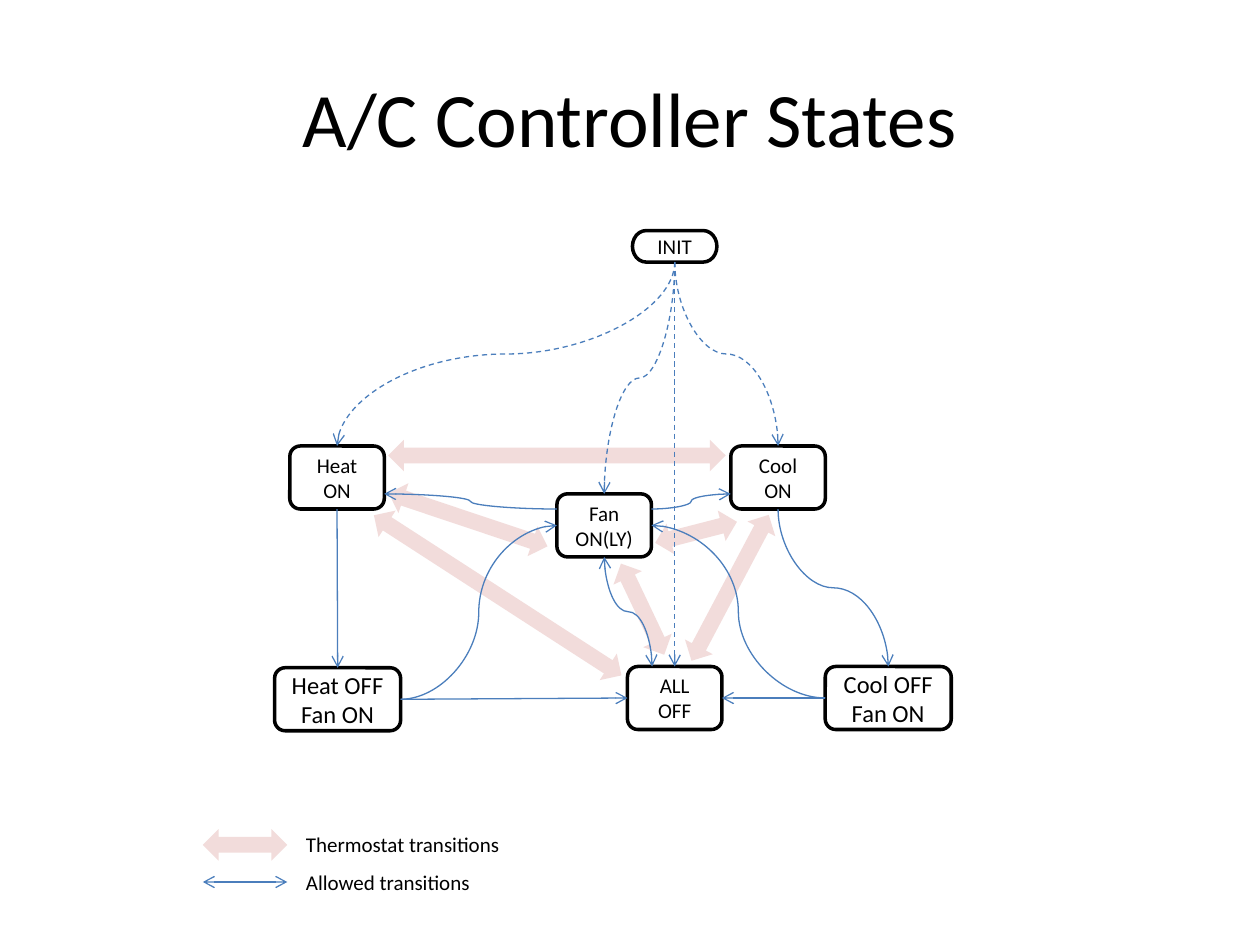
"""Build the A/C controller state diagram slide."""
import dataclasses

import pptx
import pptx.dml.color
import pptx.enum.dml
import pptx.enum.shapes
import pptx.enum.text
import pptx.oxml
import pptx.oxml.ns
import pptx.util

Inches = pptx.util.Inches
KIND = pptx.enum.shapes.MSO_SHAPE
LINK = pptx.enum.shapes.MSO_CONNECTOR
ALIGN = pptx.enum.text.PP_ALIGN
ANCHOR = pptx.enum.text.MSO_ANCHOR
TOP, LEFT, BOTTOM, RIGHT = range(4)


@dataclasses.dataclass(frozen=True)
class Theme:
    font: str = "Calibri"
    ink: str = "000000"
    paper: str = "FFFFFF"
    band: str = "F2DCDB"
    link: str = "4B7EBC"
    title: int = 44
    large: int = 14
    small: int = 12
    edge: float = 2
    thin: float = 0.75


def color(code):
    return pptx.dml.color.RGBColor.from_string(code)


def write(frame, text, size, font, ink, align=ALIGN.LEFT, anchor=ANCHOR.TOP, wrap=True):
    frame.word_wrap = wrap
    frame.vertical_anchor = anchor
    frame.text = text
    for para in frame.paragraphs:
        para.alignment = align
        para.font.size = pptx.util.Pt(size)
        para.font.name = font
        para.font.color.rgb = color(ink)


def port(box, side, dx=0, dy=0):
    x = {LEFT: 0, RIGHT: box.width}.get(side, box.width // 2)
    y = {TOP: 0, BOTTOM: box.height}.get(side, box.height // 2)
    return box.left + x + Inches(dx), box.top + y + Inches(dy)


class Painter:
    def __init__(self, slide, theme):
        self.slide = slide
        self.theme = theme

    def shape(self, kind, place, fill):
        item = self.slide.shapes.add_shape(kind, *map(Inches, place))
        item.shadow.inherit = False
        item.fill.solid()
        item.fill.fore_color.rgb = color(fill)
        return item

    def band(self, x, y, width, turn=0):
        item = self.shape(KIND.LEFT_RIGHT_ARROW, (x, y, width, 0.25), self.theme.band)
        item.line.fill.background()
        item.rotation = turn

    def state(self, text, x, y, width=0.75, height=0.5, size=None,
              kind=KIND.FLOWCHART_ALTERNATE_PROCESS):
        item = self.shape(kind, (x, y, width, height), self.theme.paper)
        item.line.color.rgb = color(self.theme.ink)
        item.line.width = pptx.util.Pt(self.theme.edge)
        write(item.text_frame, text, size or self.theme.small, self.theme.font,
              self.theme.ink, align=ALIGN.CENTER, anchor=ANCHOR.MIDDLE)
        return item

    def label(self, text, place, size, **look):
        item = self.slide.shapes.add_textbox(*map(Inches, place))
        write(item.text_frame, text, size, self.theme.font, self.theme.ink, **look)

    def link(self, kind, start, end, dash=False, both=False):
        item = self.slide.shapes.add_connector(kind, *start, *end)
        item.line.color.rgb = color(self.theme.link)
        item.line.width = pptx.util.Pt(self.theme.thin)
        if dash:
            item.line.dash_style = pptx.enum.dml.MSO_LINE.DASH
        props = item.element.spPr
        line = props.find(pptx.oxml.ns.qn("a:ln"))
        for tag in ("headEnd", "tailEnd") if both else ("tailEnd",):
            tip = pptx.oxml.parse_xml(f'<a:{tag} {pptx.oxml.ns.nsdecls("a")} type="arrow"/>')
            line.append(tip)
        props.append(pptx.oxml.parse_xml(f'<a:effectLst {pptx.oxml.ns.nsdecls("a")}/>'))
        return item

    def join(self, first, side, last, goal, **look):
        item = self.link(LINK.STRAIGHT, port(first, side), port(last, goal), **look)
        item.begin_connect(first, side)
        item.end_connect(last, goal)

    def curve(self, start, end, **look):
        self.link(LINK.CURVE, start, end, **look)

    def drop(self, start, end, **look):
        (x, y), (u, v) = start, end
        mid, row = (x + u) // 2, (y + v) // 2
        half, rise = (v - y) // 2, abs(u - x) // 2
        if u > x:
            half = -half
        item = self.link(LINK.CURVE, (mid - half, row - rise), (mid + half, row + rise), **look)
        turn = 270 if u > x else 90
        item.element.spPr.xfrm.set("rot", str(turn * 60000))


def main():
    deck = pptx.Presentation()
    deck.slide_width, deck.slide_height = Inches(10), Inches(7.5)
    theme = Theme()
    pen = Painter(deck.slides.add_slide(deck.slide_layouts[6]), theme)

    for band in ((3.08, 3.49, 2.68), (2.78, 4.6, 2.34, 32.9), (5.14, 4.54, 1.31, 297.9),
                 (4.7, 4.71, 0.8, 64.6), (3.05, 4, 1.33, 18.5), (5.19, 4.1, 0.67, 345.6)):
        pen.band(*band)
    pen.label("A/C Controller States", (0.5, 0.3, 9, 1.25), theme.title,
              align=ALIGN.CENTER, anchor=ANCHOR.MIDDLE)

    init = pen.state("INIT", 5.02, 1.83, 0.67, 0.25, kind=KIND.FLOWCHART_TERMINATOR)
    heat = pen.state("Heat ON", 2.3, 3.54)
    cool = pen.state("Cool ON", 5.8, 3.54)
    fan = pen.state("Fan ON(LY)", 4.42, 3.92)
    chill = pen.state("Cool OFF\nFan ON", 6.55, 5.29, 1, size=theme.large)
    warm = pen.state("Heat OFF\nFan ON", 2.18, 5.3, 1, size=theme.large)
    off = pen.state("ALL OFF", 4.98, 5.29)

    pen.join(init, BOTTOM, off, TOP, dash=True)
    pen.join(heat, BOTTOM, warm, TOP)
    pen.join(warm, RIGHT, off, LEFT)
    pen.join(chill, LEFT, off, RIGHT)
    for goal in (fan, cool, heat):
        pen.drop(port(init, BOTTOM), port(goal, TOP), dash=True)
    pen.drop(port(cool, BOTTOM), port(chill, TOP))
    pen.drop(port(fan, BOTTOM), port(off, TOP, dx=-0.18), both=True)
    pen.curve(port(warm, RIGHT), port(fan, LEFT))
    pen.curve(port(chill, LEFT), port(fan, RIGHT))
    for goal, side, back in ((heat, LEFT, RIGHT), (cool, RIGHT, LEFT)):
        pen.curve(port(fan, side, dy=-0.13), port(goal, back, dy=0.13))

    pen.band(1.61, 6.58, 0.67)
    pen.link(LINK.STRAIGHT, (Inches(1.61), Inches(7)), (Inches(2.28), Inches(7)), both=True)
    for text, y, width in (("Thermostat transitions", 6.55, 1.75),
                           ("Allowed transitions", 6.85, 1.52)):
        pen.label(text, (2.33, y, width, 0.3), theme.small, wrap=False)

    deck.save("out.pptx")


if __name__ == "__main__":
    main()
